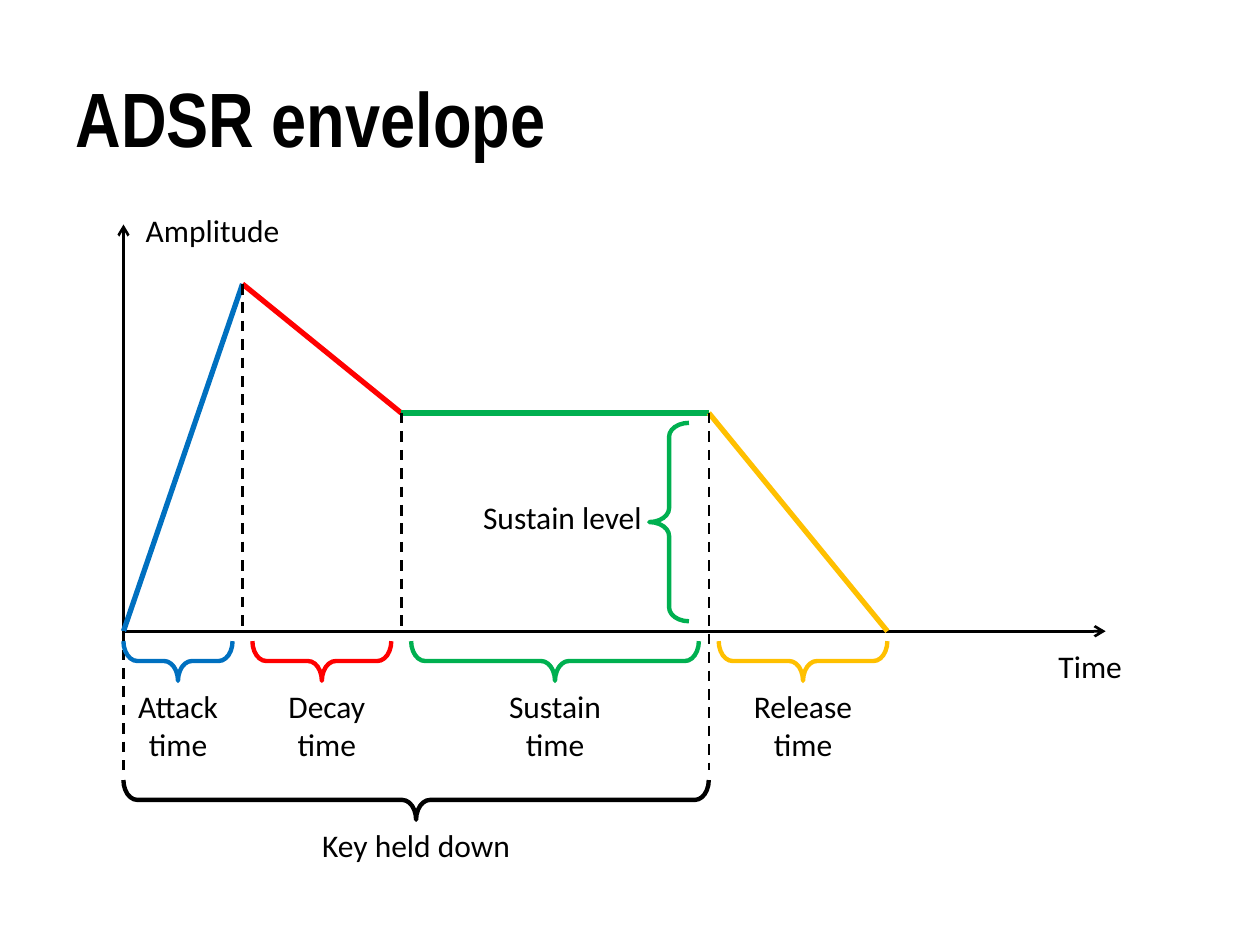
from dataclasses import dataclass

import pptx
import pptx.dml.color
import pptx.enum.dml
import pptx.enum.shapes
import pptx.enum.text
import pptx.oxml.ns
import pptx.util
from lxml import etree

RGBColor = pptx.dml.color.RGBColor
BLACK = RGBColor(0x00, 0x00, 0x00)
BLUE = RGBColor(0x00, 0x70, 0xC0)
RED = RGBColor(0xFF, 0x00, 0x00)
GREEN = RGBColor(0x00, 0xB0, 0x50)
AMBER = RGBColor(0xFF, 0xC0, 0x00)

CELL = pptx.util.Mm(2)
ORIGIN_X = pptx.util.Inches(0.98)
ORIGIN_Y = pptx.util.Inches(5.01)
BRACE_DEPTH = 4

START = (0, 0)
PEAK = (12, -35)
HOLD = (28, -22)
KEY_UP = (59, -22)
SILENCE = (77, 0)
KEY_DOWN_ROW = 14


@dataclass(frozen=True)
class Line:
    start: tuple[int, int]
    end: tuple[int, int]
    color: RGBColor = BLACK
    weight: float = 1.5
    dashed: bool = False
    arrow: bool = False


@dataclass(frozen=True)
class Span:
    text: str
    color: RGBColor
    columns: tuple[int, int]
    label_columns: tuple[int, int]
    row: int = 1
    label_rows: int = 9


LINES = [
    Line(START, (0, -41), arrow=True),
    Line(START, (99, 0), arrow=True),
    Line(START, PEAK, BLUE, 3),
    Line(HOLD, PEAK, RED, 3),
    Line(KEY_UP, HOLD, GREEN, 3),
    Line(KEY_UP, SILENCE, AMBER, 3),
    Line(PEAK, (PEAK[0], 0), dashed=True),
    Line(HOLD, (HOLD[0], 0), dashed=True),
    Line(KEY_UP, (KEY_UP[0], KEY_DOWN_ROW), dashed=True),
    Line(START, (0, KEY_DOWN_ROW), dashed=True),
]

SPANS = [
    Span("Attack time", BLUE, (0, 11), (0, 11)),
    Span("Decay time", RED, (13, 27), (15, 26)),
    Span("Sustain time", GREEN, (29, 58), (37, 50)),
    Span("Release time", AMBER, (60, 77), (62, 75)),
    Span("Key held down", BLACK, (0, 59), (18, 41), KEY_DOWN_ROW + 1, 5),
]


def x_at(column: float) -> int:
    return int(ORIGIN_X + column * CELL)


def y_at(row: float) -> int:
    return int(ORIGIN_Y + row * CELL)


def draw_line(slide, line: Line) -> None:
    connector = slide.shapes.add_connector(
        pptx.enum.shapes.MSO_CONNECTOR.STRAIGHT,
        x_at(line.start[0]), y_at(line.start[1]), x_at(line.end[0]), y_at(line.end[1]))
    connector.line.color.rgb = line.color
    connector.line.width = pptx.util.Pt(line.weight)
    if line.dashed:
        connector.line.dash_style = pptx.enum.dml.MSO_LINE.DASH
    if line.arrow:
        etree.SubElement(connector.line._get_or_add_ln(),
                         pptx.oxml.ns.qn("a:tailEnd"), type="arrow")
    etree.SubElement(connector._element.spPr, pptx.oxml.ns.qn("a:effectLst"))


def draw_brace(slide, center: tuple[float, float], length: int,
               color: RGBColor, rotation: int = 0) -> None:
    column, row = center
    brace = slide.shapes.add_shape(
        pptx.enum.shapes.MSO_SHAPE.LEFT_BRACE,
        x_at(column - BRACE_DEPTH / 2), y_at(row - length / 2),
        BRACE_DEPTH * CELL, length * CELL)
    brace.rotation = rotation
    brace.adjustments[0] = 0.35
    brace.fill.background()
    brace.line.color.rgb = color
    brace.line.width = pptx.util.Pt(2.5)
    brace.shadow.inherit = False


def draw_label(slide, text: str, column: int, row: int, columns: int,
               rows: int = 5, centered: bool = False) -> None:
    label = slide.shapes.add_textbox(x_at(column), y_at(row), columns * CELL, rows * CELL)
    frame = label.text_frame
    frame.text = text
    frame.word_wrap = centered
    paragraph = frame.paragraphs[0]
    if centered:
        paragraph.alignment = pptx.enum.text.PP_ALIGN.CENTER
    font = paragraph.runs[0].font
    font.name = "Calibri"
    font.size = pptx.util.Pt(18)
    font.color.rgb = BLACK


def draw_span(slide, span: Span) -> None:
    first, last = span.columns
    draw_brace(slide, ((first + last) / 2, span.row + BRACE_DEPTH / 2),
               last - first, span.color, rotation=270)
    left, right = span.label_columns
    draw_label(slide, span.text, left, span.row + BRACE_DEPTH,
               right - left, span.label_rows, centered=True)


def write_title(slide, width: int, height: int) -> None:
    title = slide.shapes.title
    title.left, title.top = int(width * 0.05), int(height * 0.04)
    title.width, title.height = int(width * 0.9), pptx.util.Inches(1.25)
    title.text_frame.text = "ADSR envelope"
    title.text_frame.vertical_anchor = pptx.enum.text.MSO_ANCHOR.MIDDLE
    paragraph = title.text_frame.paragraphs[0]
    paragraph.alignment = pptx.enum.text.PP_ALIGN.LEFT
    font = paragraph.runs[0].font
    font.name = "Arial Narrow"
    font.size = pptx.util.Pt(44)
    font.bold = True
    font.color.rgb = BLACK


def main() -> None:
    deck = pptx.Presentation()
    deck.slide_width = pptx.util.Inches(10)
    deck.slide_height = pptx.util.Inches(7.5)
    slide = deck.slides.add_slide(deck.slide_layouts[5])
    write_title(slide, deck.slide_width, deck.slide_height)
    for line in LINES:
        draw_line(slide, line)
    for span in SPANS:
        draw_span(slide, span)
    draw_brace(slide, (55, KEY_UP[1] / 2), 20, GREEN)
    draw_label(slide, "Amplitude", 1, -43, 16)
    draw_label(slide, "Time", 93, 1, 9)
    draw_label(slide, "Sustain level", 35, -14, 19)
    deck.save("out.pptx")


if __name__ == "__main__":
    main()
